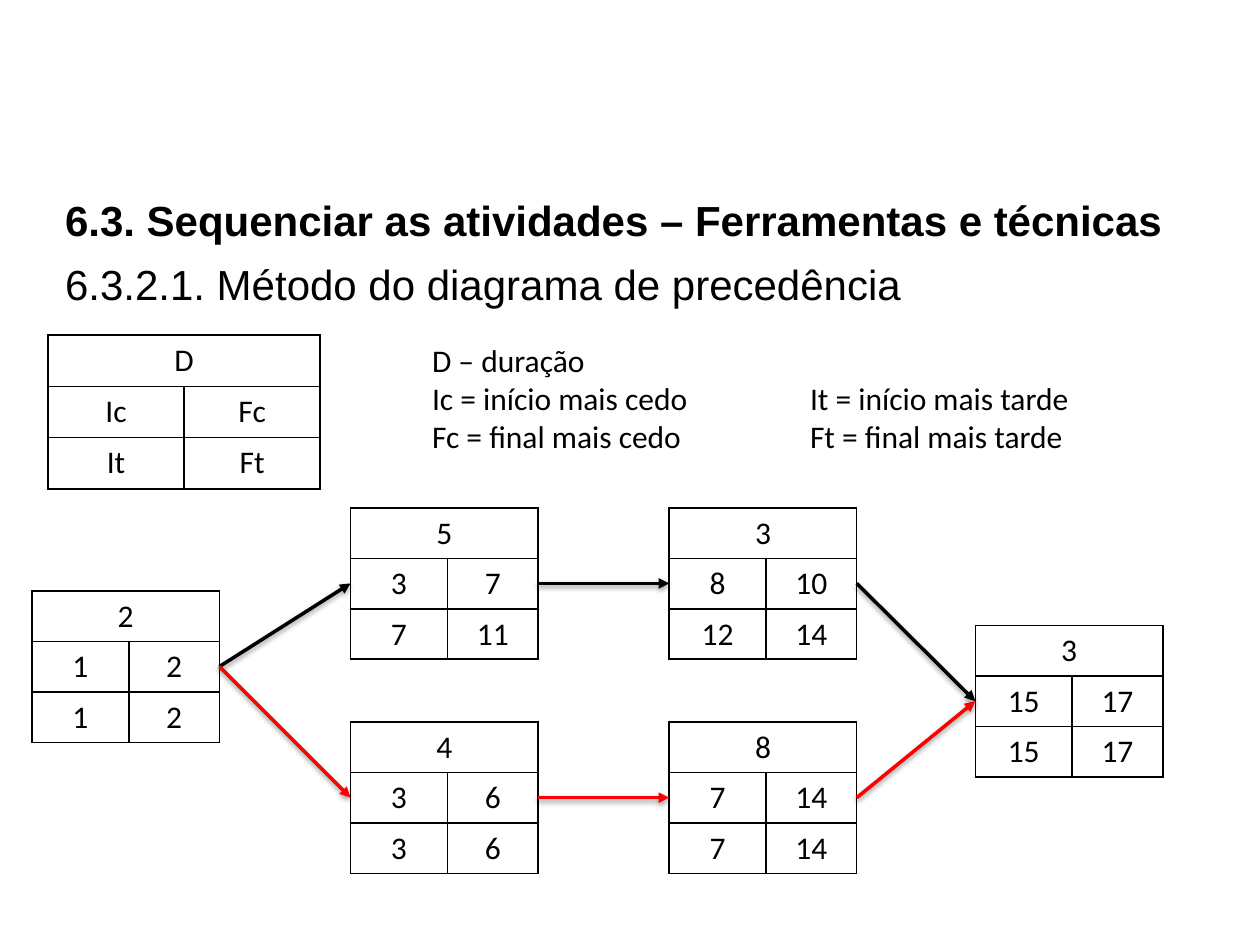
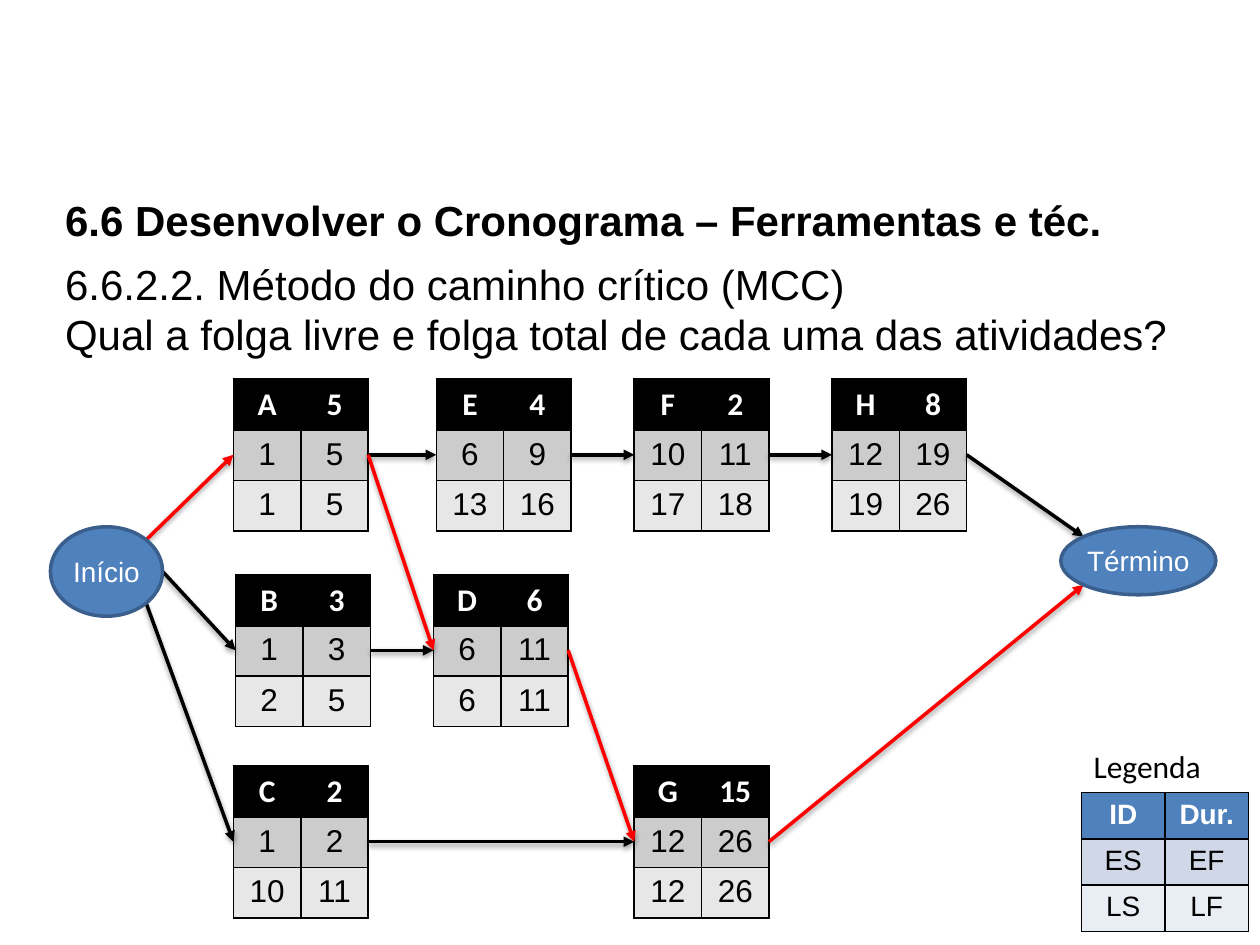
from dataclasses import dataclass
from math import cos, radians, sin
from typing import NamedTuple

from lxml import etree
from pptx import Presentation
from pptx.dml.color import RGBColor
from pptx.enum.shapes import MSO_CONNECTOR, MSO_SHAPE
from pptx.enum.text import MSO_ANCHOR, MSO_AUTO_SIZE, PP_ALIGN
from pptx.oxml import parse_xml
from pptx.oxml.ns import nsdecls, qn
from pptx.util import Pt

STRAIGHT = MSO_CONNECTOR.STRAIGHT
OVAL = MSO_SHAPE.OVAL
LEFT, CENTER, JUSTIFY = PP_ALIGN.LEFT, PP_ALIGN.CENTER, PP_ALIGN.JUSTIFY
TOP, MIDDLE = MSO_ANCHOR.TOP, MSO_ANCHOR.MIDDLE
NO_AUTOFIT = MSO_AUTO_SIZE.NONE


@dataclass(frozen=True)
class Theme:
    black: str = "000000"
    white: str = "FFFFFF"
    critical: str = "FF0000"
    blue: str = "4F81BD"
    blue_outline: str = "3A5F8C"
    activity_fills: tuple = ("000000", "CCCCCC", "E7E7E7")
    legend_fills: tuple = ("4F81BD", "D0D8E8", "E9EDF4")
    heading_font: str = "Arial"
    body_font: str = "Calibri"
    heading_size: float = 24
    text_size: float = 18
    label_size: float = 16
    arrow_width: float = 2
    border_width: float = 1


THEME = Theme()
ROW_HEIGHT = 28.8
NOTE_LINE_HEIGHT = 21.8


class Activity(NamedTuple):
    """Points where arrows enter and leave an activity table."""
    entry: tuple
    exit: tuple


class Oval(NamedTuple):
    left: float
    top: float
    width: float
    height: float

    def port(self, degrees):
        """Point on the outline, clockwise from the right-hand side."""
        angle = radians(degrees)
        return (self.left + self.width / 2 * (1 + cos(angle)),
                self.top + self.height / 2 * (1 + sin(angle)))


def points(*values):
    return [Pt(value) for value in values]


def write_text(text_frame, text, font=THEME.body_font, size=THEME.text_size,
               color=THEME.black, bold=False, align=LEFT):
    """Write one paragraph per line, without bullets."""
    for number, line in enumerate(text.split("\n")):
        paragraph = text_frame.paragraphs[0] if number == 0 else text_frame.add_paragraph()
        paragraph.alignment = align
        paragraph.space_before = Pt(0)
        properties = paragraph._p.get_or_add_pPr()
        properties.set("marL", "0")
        properties.set("indent", "0")
        etree.SubElement(properties, qn("a:buNone"))
        run = paragraph.add_run()
        run.text = line
        run.font.name = font
        run.font.size = Pt(size)
        run.font.bold = bold
        run.font.color.rgb = RGBColor.from_string(color)


def add_borders(cell, theme):
    properties = cell._tc.get_or_add_tcPr()
    for side in ("lnL", "lnR", "lnT", "lnB"):
        properties.append(parse_xml(
            f'<a:{side} {nsdecls("a")} w="{Pt(theme.border_width)}"><a:solidFill>'
            f'<a:srgbClr val="{theme.black}"/></a:solidFill></a:{side}>'))


class DiagramDeck:
    def __init__(self, theme):
        self.theme = theme
        self.presentation = Presentation()
        self.presentation.slide_width, self.presentation.slide_height = points(720, 540)
        self.slide = None

    def start_slide(self, title, subtitle, subtitle_height):
        layout = self.presentation.slide_layouts[1]
        self.slide = self.presentation.slides.add_slide(layout)
        title_shape, body_shape = self.slide.placeholders
        for shape, text, top, height, bold, align in (
                (title_shape, title, 107.5, 36, True, LEFT),
                (body_shape, subtitle, 144.3, subtitle_height, False, JUSTIFY)):
            shape.left, shape.top, shape.width, shape.height = points(30, top, 664.6, height)
            shape.text_frame.auto_size = NO_AUTOFIT
            shape.text_frame.vertical_anchor = MIDDLE
            write_text(shape.text_frame, text, font=self.theme.heading_font,
                       size=self.theme.heading_size, bold=bold, align=align)

    def add_note(self, text, left, top, width, height):
        shape = self.slide.shapes.add_textbox(*points(left, top, width, height))
        shape.text_frame.word_wrap = True
        shape.text_frame.vertical_anchor = TOP
        write_text(shape.text_frame, text)

    def add_grid(self, rows, left, top, column_widths, row_height=ROW_HEIGHT,
                 fills=None, header_font=THEME.body_font, size=THEME.text_size):
        """Draw a table; a single value in a row spans all columns."""
        width = sum(column_widths)
        table = self.slide.shapes.add_table(
            len(rows), len(column_widths),
            *points(left, top, width, row_height * len(rows))).table
        for column, column_width in zip(table.columns, column_widths):
            column.width = Pt(column_width)
        for row_number, values in enumerate(rows):
            table.rows[row_number].height = Pt(row_height)
            cells = list(table.rows[row_number].cells)
            if len(values) == 1:
                cells[0].merge(cells[-1])
            is_header = bool(fills) and row_number == 0
            for cell in cells:
                add_borders(cell, self.theme)
                if fills:
                    cell.fill.solid()
                    cell.fill.fore_color.rgb = RGBColor.from_string(fills[row_number])
                else:
                    cell.fill.background()
            font = self.theme.heading_font if fills and not is_header else header_font
            color = self.theme.white if is_header else self.theme.black
            for cell, value in zip(cells, values):
                write_text(cell.text_frame, value, font=font, size=size,
                           color=color, bold=is_header, align=CENTER)
        middle = top + row_height * len(rows) / 2
        return Activity((left, middle), (left + width, middle))

    def add_oval(self, text, oval):
        shape = self.slide.shapes.add_shape(OVAL, *points(*oval))
        shape.shadow.inherit = False
        shape.fill.solid()
        shape.fill.fore_color.rgb = RGBColor.from_string(self.theme.blue)
        shape.line.color.rgb = RGBColor.from_string(self.theme.blue_outline)
        shape.line.width = Pt(self.theme.arrow_width)
        frame = shape.text_frame
        frame.margin_left = frame.margin_right = frame.margin_top = frame.margin_bottom = 0
        frame.word_wrap = False
        frame.vertical_anchor = MIDDLE
        write_text(frame, text, font=self.theme.heading_font, size=self.theme.label_size,
                   color=self.theme.white, align=CENTER)

    def add_arrow(self, start, end, critical=False):
        connector = self.slide.shapes.add_connector(STRAIGHT, *points(*start, *end))
        color = self.theme.critical if critical else self.theme.black
        connector.line.color.rgb = RGBColor.from_string(color)
        connector.line.width = Pt(self.theme.arrow_width)
        properties = connector._element.spPr
        etree.SubElement(properties.find(qn("a:ln")), qn("a:tailEnd"), type="triangle")
        properties.append(parse_xml(
            f'<a:effectLst {nsdecls("a")}><a:outerShdw blurRad="{Pt(3.1)}" dist="{Pt(1.6)}" '
            f'dir="5400000" rotWithShape="0"><a:srgbClr val="{self.theme.black}">'
            '<a:alpha val="38000"/></a:srgbClr></a:outerShdw></a:effectLst>'))


def build_precedence_slide(deck):
    deck.start_slide("6.3. Sequenciar as atividades – Ferramentas e técnicas",
                     "6.3.2.1. Método do diagrama de precedência", 36)
    deck.add_grid([["D"], ["Ic", "Fc"], ["It", "Ft"]], 27.4, 191.5, (77.8, 77.8), 29.3)
    notes_left, notes_top = 239.8, 191.5
    deck.add_note("D – duração\nIc = início mais cedo\nFc = final mais cedo",
                  notes_left, notes_top, 200, 72.7)
    deck.add_note("It = início mais tarde\nFt = final mais tarde",
                  notes_left + 216, notes_top + NOTE_LINE_HEIGHT, 200, 50.9)

    first, second, third = (18.2 + 182.1 * step for step in range(3))
    upper, lower = 290.2, 412.6
    activities = {
        "start": (first, 337.7, [["2"], ["1", "2"], ["1", "2"]]),
        "upper second": (second, upper, [["5"], ["3", "7"], ["7", "11"]]),
        "upper third": (third, upper, [["3"], ["8", "10"], ["12", "14"]]),
        "lower second": (second, lower, [["4"], ["3", "6"], ["3", "6"]]),
        "lower third": (third, lower, [["8"], ["7", "14"], ["7", "14"]]),
        "end": (557.3, 357.5, [["3"], ["15", "17"], ["15", "17"]]),
    }
    ports = {name: deck.add_grid(rows, left, top, (55.4, 51.8))
             for name, (left, top, rows) in activities.items()}
    for level in ("upper", "lower"):
        route = ["start", f"{level} second", f"{level} third", "end"]
        for source, target in zip(route, route[1:]):
            deck.add_arrow(ports[source].exit, ports[target].entry, level == "lower")


def build_critical_path_slide(deck):
    deck.start_slide("6.6 Desenvolver o Cronograma – Ferramentas e téc.",
                     "6.6.2.2. Método do caminho crítico (MCC)\n"
                     "Qual a folga livre e folga total de cada uma das atividades?", 64.5)
    theme = deck.theme
    top, middle, bottom = 216.7, 328.4, 437.8
    activities = {
        "A": (133.4, top, "5", ["1", "5"], ["1", "5"]),
        "E": (249.3, top, "4", ["6", "9"], ["13", "16"]),
        "F": (362.4, top, "2", ["10", "11"], ["17", "18"]),
        "H": (475.4, top, "8", ["12", "19"], ["19", "26"]),
        "B": (134.6, middle, "3", ["1", "3"], ["2", "5"]),
        "D": (247.7, middle, "6", ["6", "11"], ["6", "11"]),
        "C": (133.4, bottom, "2", ["1", "2"], ["10", "11"]),
        "G": (362.4, bottom, "15", ["12", "26"], ["12", "26"]),
    }
    ports = {name: deck.add_grid([[name, duration], early, late], left, row_top,
                                 (38.5, 38.5), fills=theme.activity_fills)
             for name, (left, row_top, duration, early, late) in activities.items()}

    deck.add_note("Legenda", 617.8, 423.4, 90, 28.8)
    deck.add_grid([["ID", "Dur."], ["ES", "EF"], ["LS", "LF"]], 618, 452.9, (47.7, 47.7),
                  26.4, fills=theme.legend_fills, header_font=theme.heading_font,
                  size=theme.label_size)

    start, finish = Oval(28.8, 301, 64.1, 51.1), Oval(606.2, 301, 88.6, 38.9)
    for name, degrees in (("A", -45), ("B", 0), ("C", 45)):
        deck.add_arrow(start.port(degrees), ports[name].entry, name == "A")
    for source, target in ("AE", "EF", "FH", "BD", "CG", "AD", "DG"):
        deck.add_arrow(ports[source].exit, ports[target].entry,
                       source + target in ("AD", "DG"))
    for name, degrees in (("H", 225), ("G", 135)):
        deck.add_arrow(ports[name].exit, finish.port(degrees), name == "G")
    deck.add_oval("Início", start)
    deck.add_oval("Término", finish)


def main():
    deck = DiagramDeck(THEME)
    build_precedence_slide(deck)
    build_critical_path_slide(deck)
    deck.presentation.save("out.pptx")


if __name__ == "__main__":
    main()
